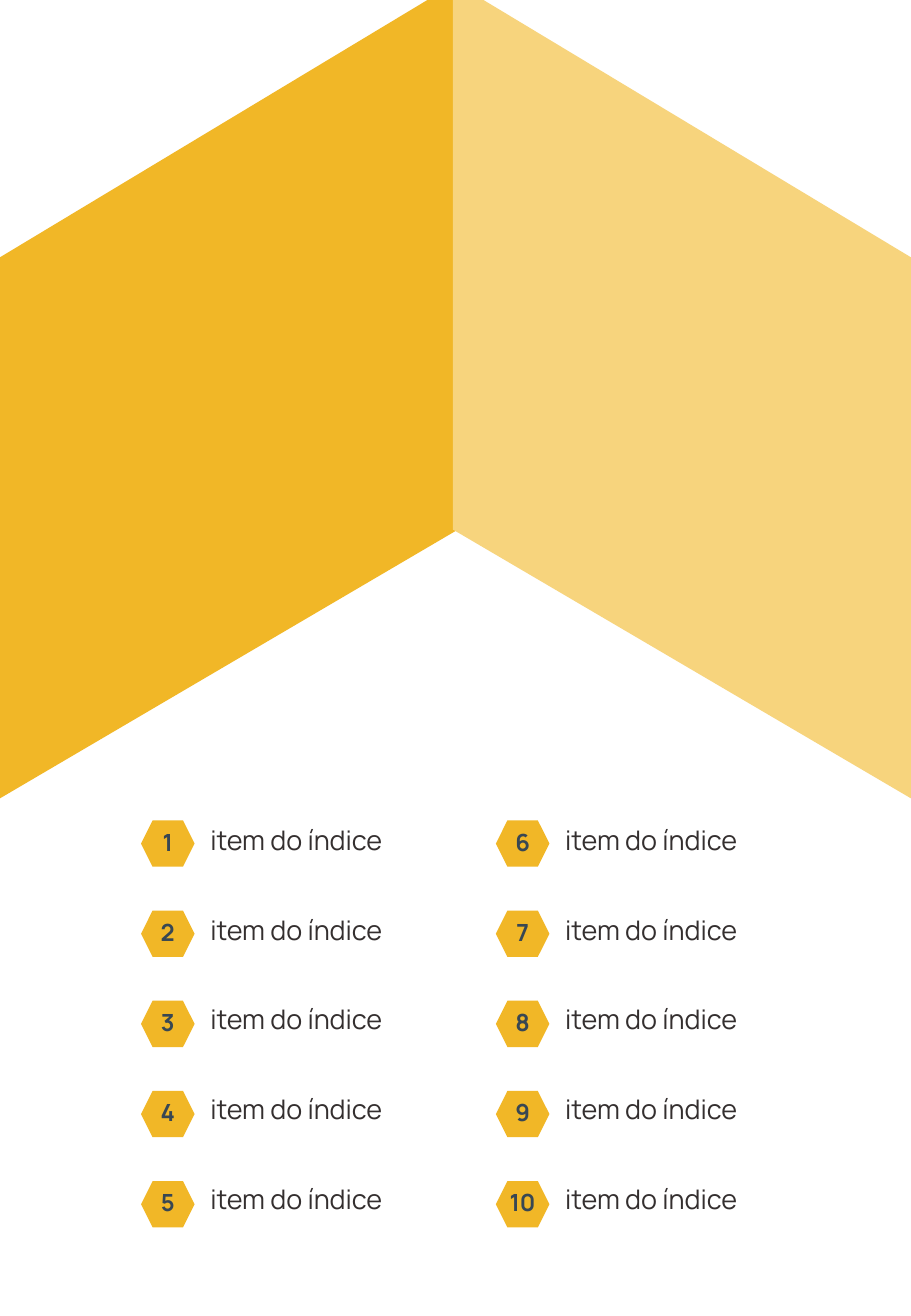
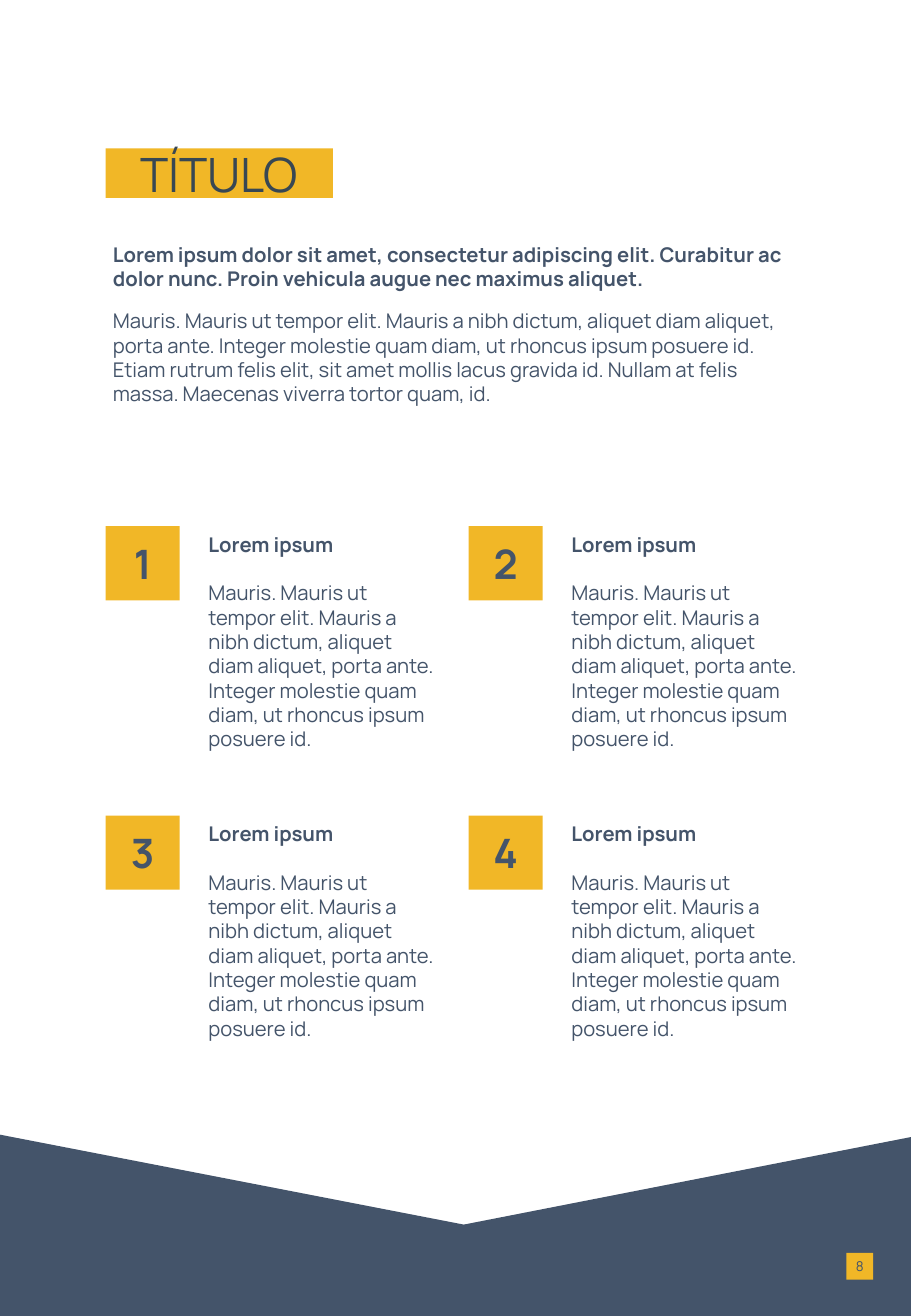
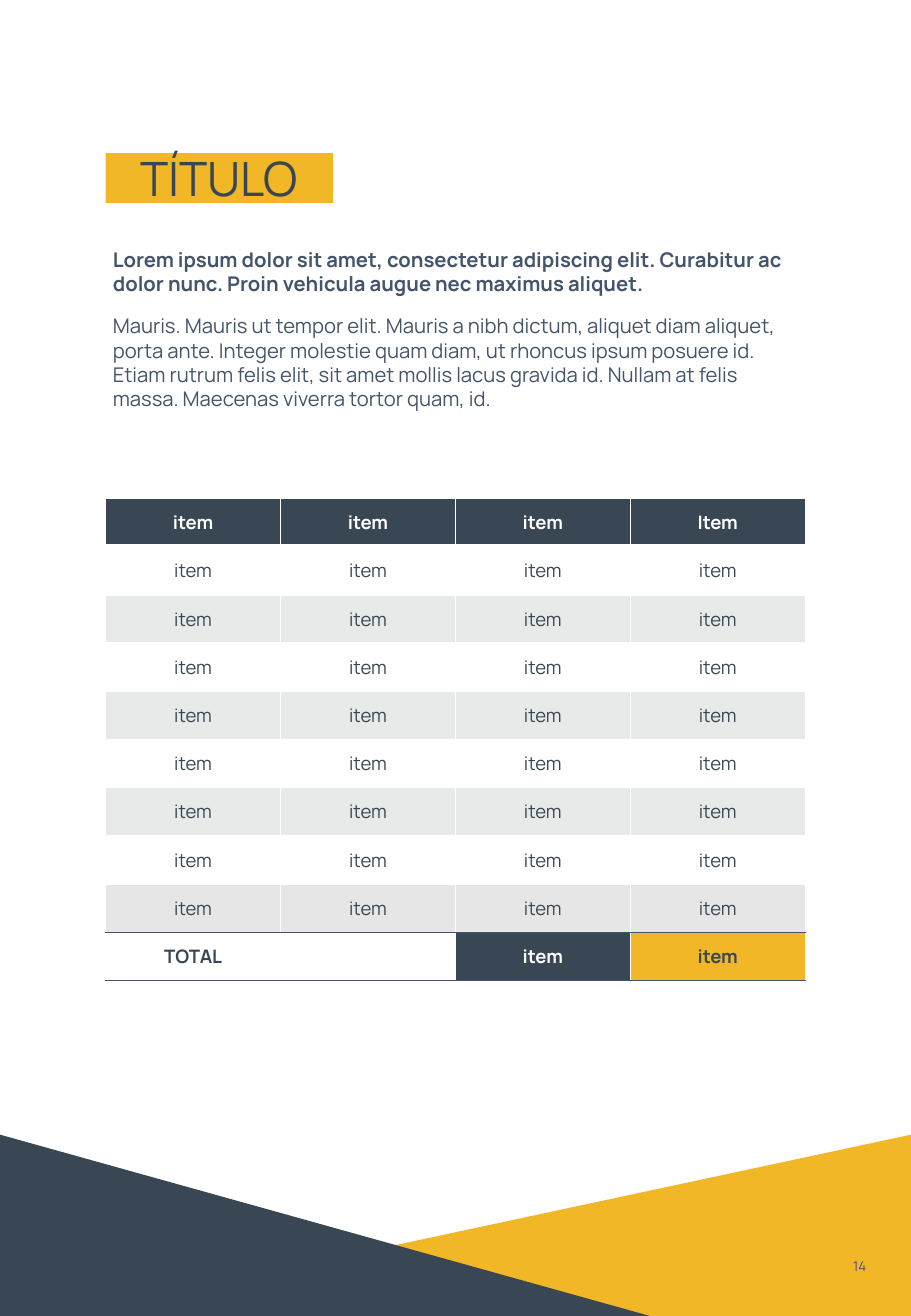
from collections import namedtuple

from lxml import etree
from pptx import Presentation
from pptx.dml.color import RGBColor
from pptx.enum.shapes import MSO_SHAPE
from pptx.enum.text import MSO_ANCHOR, MSO_AUTO_SIZE, PP_ALIGN
from pptx.oxml.ns import qn
from pptx.util import Cm, Pt

HEXAGON = MSO_SHAPE.HEXAGON
RECTANGLE = MSO_SHAPE.RECTANGLE
RIGHT_TRIANGLE = MSO_SHAPE.RIGHT_TRIANGLE
MIDDLE = MSO_ANCHOR.MIDDLE
TOP = MSO_ANCHOR.TOP
CENTER = PP_ALIGN.CENTER
LEFT = PP_ALIGN.LEFT
NO_AUTOFIT = MSO_AUTO_SIZE.NONE

TITLE_ONLY, BLANK = 5, 6
PAGE_WIDTH, PAGE_HEIGHT = 19.05, 27.51

COLORS = {
    "yellow": "F1B727",
    "pale": "F7D47D",
    "dark": "384753",
    "slate": "44546A",
    "ink": "342F2F",
    "white": "FFFFFF",
    "band": "E8E9E9",
    "last_band": "E7E6E6",
}

FONTS = {
    "title": {"size": Pt(28), "bold": False},
    "badge": {"size": Pt(14), "bold": True},
    "index": {"size": Pt(16), "bold": False},
    "lead": {"size": Pt(12), "bold": True},
    "body": {"size": Pt(12), "bold": False},
    "number": {"size": Pt(24), "bold": True},
    "page": {"size": Pt(8), "bold": False},
    "cell": {"size": Pt(11), "bold": False},
    "strong_cell": {"size": Pt(11), "bold": True},
}

NO_MARGINS = {f"margin_{side}": 0 for side in ("left", "top", "right", "bottom")}
BADGE_MARGINS = {**NO_MARGINS, "margin_bottom": Cm(0.08)}
CELL_FORMAT = {**NO_MARGINS, "margin_left": Cm(0.18), "margin_right": Cm(0.18),
               "vertical_anchor": MIDDLE}

LEAD = ("Lorem ipsum dolor sit amet, consectetur adipiscing elit. Curabitur ac "
        "dolor nunc. Proin vehicula augue nec maximus aliquet.")
CARD_BODY = ("Mauris. Mauris ut tempor elit. Mauris a nibh dictum, aliquet diam aliquet, "
             "porta ante. Integer molestie quam diam, ut rhoncus ipsum posuere id.")
INTRO = CARD_BODY + (" Etiam rutrum felis elit, sit amet mollis lacus gravida id. "
                     "Nullam at felis massa. Maecenas viverra tortor quam, id.")

Box = namedtuple("Box", "left top width height")


def rgb(color):
    return RGBColor.from_string(COLORS[color])


def apply(target, values):
    for attribute, value in values.items():
        setattr(target, attribute, value)


def lengths(box):
    return [Cm(value) for value in box]


def paint(shape, color):
    shape.fill.solid()
    shape.fill.fore_color.rgb = rgb(color)
    shape.line.fill.background()


def write(paragraph, text, font, color, align=LEFT):
    paragraph.alignment = align
    run = paragraph.add_run()
    run.text = text
    apply(run.font, {"name": "Manrope", **FONTS[font]})
    run.font.color.rgb = rgb(color)


def add_preset(slide, preset, box, color):
    shape = slide.shapes.add_shape(preset, *lengths(box))
    shape.shadow.inherit = False
    paint(shape, color)
    return shape


def add_outline(slide, box, points, color):
    corners = [(Cm(box.left + x), Cm(box.top + y)) for x, y in points]
    builder = slide.shapes.build_freeform(*corners[0])
    builder.add_line_segments(corners[1:])
    shape = builder.convert_to_shape()
    shape.shadow.inherit = False
    paint(shape, color)


def add_label(slide, preset, box, text, font, color, margins):
    shape = add_preset(slide, preset, box, "yellow")
    frame = shape.text_frame
    apply(frame, {"word_wrap": True, "vertical_anchor": MIDDLE, **margins})
    write(frame.paragraphs[0], text, font, color, CENTER)


def add_text(slide, box, parts, color="slate", margins=None, gap=0):
    frame = slide.shapes.add_textbox(*lengths(box)).text_frame
    apply(frame, {"word_wrap": True, "vertical_anchor": TOP, **(margins or {})})
    for position, (text, font) in enumerate(parts):
        paragraph = frame.add_paragraph() if position else frame.paragraphs[0]
        paragraph.space_before = Pt(gap if position else 0)
        write(paragraph, text, font, color)


def add_cover_panels(slide, box):
    panel_width = 9.58
    fold = 11.07
    left_panel = [(8.94, 0), (panel_width, 0), (panel_width, fold),
                  (0, box.height), (0, 5.38)]
    right_panel = [(box.width - x, y) for x, y in left_panel]
    add_outline(slide, box, left_panel, "yellow")
    add_outline(slide, box, right_panel, "pale")


def add_index(slide, box, rows=5, columns=2):
    column_pitch = box.width / columns
    badge_pitch, label_pitch = 1.885, 1.873
    for item in range(rows * columns):
        column, row = divmod(item, rows)
        left = box.left + column * column_pitch
        badge = Box(left, box.top + row * badge_pitch, 1.12, 0.97)
        label = Box(left + 1.45, box.top + 0.07 + row * label_pitch, 4.37, 0.89)
        add_label(slide, HEXAGON, badge, str(item + 1), "badge", "dark", BADGE_MARGINS)
        add_text(slide, label, [("item do índice", "index")], "ink", NO_MARGINS)


def add_header(slide, box):
    title = slide.shapes.title
    apply(title, dict(zip(Box._fields, lengths(Box(box.left, box.top, 4.75, 1.04)))))
    paint(title, "yellow")
    apply(title.text_frame, {"auto_size": NO_AUTOFIT, "word_wrap": True,
                             "vertical_anchor": MIDDLE})
    write(title.text_frame.paragraphs[0], "TÍTULO", "title", "dark", CENTER)
    text_left = box.left - 0.1
    add_text(slide, Box(text_left, box.top + 1.84, box.width, 1.27), [(LEAD, "lead")])
    add_text(slide, Box(text_left, box.top + 3.23, box.width, 2.31), [(INTRO, "body")])


def add_page_number(slide, number):
    add_label(slide, RECTANGLE, Box(17.7, 26.19, 0.56, 0.56), str(number),
              "page", "slate", NO_MARGINS)


def add_cards(slide, box, columns=2, rows=2):
    for item in range(columns * rows):
        row, column = divmod(item, columns)
        left = box.left + column * box.width / columns
        top = box.top + row * box.height / rows
        add_label(slide, RECTANGLE, Box(left, top, 1.55, 1.55), str(item + 1),
                  "number", "slate", {})
        add_text(slide, Box(left + 1.9, top, 5.28, 4.88),
                 [("Lorem ipsum", "lead"), (CARD_BODY, "body")], gap=14.4)


def add_notched_band(slide, box):
    points = [(0, 0), (9.7, 1.88), (box.width, 0.05),
              (box.width, box.height), (0, box.height)]
    add_outline(slide, box, points, "slate")


def add_crossed_band(slide, box):
    reach = 17.7
    center_x = box.left + box.width - reach / 2
    center_y = box.top + box.height / 2
    upright = Box(center_x - box.height / 2, center_y - reach / 2, box.height, reach)
    add_preset(slide, RIGHT_TRIANGLE, upright, "yellow").rotation = 270
    add_preset(slide, RIGHT_TRIANGLE, box._replace(width=13.59), "dark")


def set_borders(cell, borders):
    properties = cell._tc.get_or_add_tcPr()
    for side in "LRTB":
        color, width = borders.get(side, ("white", 1))
        line = etree.SubElement(properties, qn(f"a:ln{side}"), w=str(Pt(width)))
        fill = etree.SubElement(line, qn("a:solidFill"))
        etree.SubElement(fill, qn("a:srgbClr"), val=COLORS[color])


def table_rows():
    rule = ("slate", 1)
    header = ("strong_cell", "white", "dark")
    yield [(text, *header) for text in ("item", "item", "item", "Item")], {"B": ("white", 3)}
    for number in range(7):
        fill = "band" if number % 2 else "white"
        yield [("item", "cell", "dark", fill)] * 4, {}
    yield [("item", "cell", "dark", "last_band")] * 4, {"B": rule}
    yield [("TOTAL", "strong_cell", "dark", "white"),
           ("", "cell", "dark", "white"),
           ("item", *header),
           ("item", "strong_cell", "dark", "yellow")], {"T": rule, "B": rule}


def add_items_table(slide, box):
    rows = list(table_rows())
    columns = len(rows[0][0])
    table = slide.shapes.add_table(len(rows), columns, *lengths(box)).table
    apply(table, {"first_row": False, "horz_banding": False})
    for column in table.columns:
        column.width = Cm(box.width / columns)
    for row, (entries, borders) in zip(table.rows, rows):
        row.height = Cm(box.height / len(rows))
        for cell, (text, font, color, fill) in zip(row.cells, entries):
            apply(cell, CELL_FORMAT)
            set_borders(cell, borders)
            cell.fill.solid()
            cell.fill.fore_color.rgb = rgb(fill)
            write(cell.text_frame.paragraphs[0], text, font, color, CENTER)


def build_index_slide(slide):
    add_cover_panels(slide, Box(0, 0, PAGE_WIDTH, 16.69))
    add_index(slide, Box(2.95, 17.15, 14.84, 8.51))


def build_cards_slide(slide, footer):
    add_notched_band(slide, footer)
    add_page_number(slide, 8)
    add_header(slide, Box(2.21, 3.1, 14.63, 5.54))
    add_cards(slide, Box(2.21, 11, 15.18, 12.1))


def build_table_slide(slide, footer):
    add_crossed_band(slide, footer)
    add_page_number(slide, 14)
    add_header(slide, Box(2.21, 3.2, 14.63, 5.54))
    add_items_table(slide, Box(2.21, 10.42, 14.63, 10.08))


def main():
    deck = Presentation()
    apply(deck, {"slide_width": Cm(PAGE_WIDTH), "slide_height": Cm(PAGE_HEIGHT)})
    layouts = deck.slide_layouts
    footer = Box(0, 23.72, PAGE_WIDTH, 3.79)
    build_index_slide(deck.slides.add_slide(layouts[BLANK]))
    build_cards_slide(deck.slides.add_slide(layouts[TITLE_ONLY]), footer)
    build_table_slide(deck.slides.add_slide(layouts[TITLE_ONLY]), footer)
    deck.save("out.pptx")


if __name__ == "__main__":
    main()
